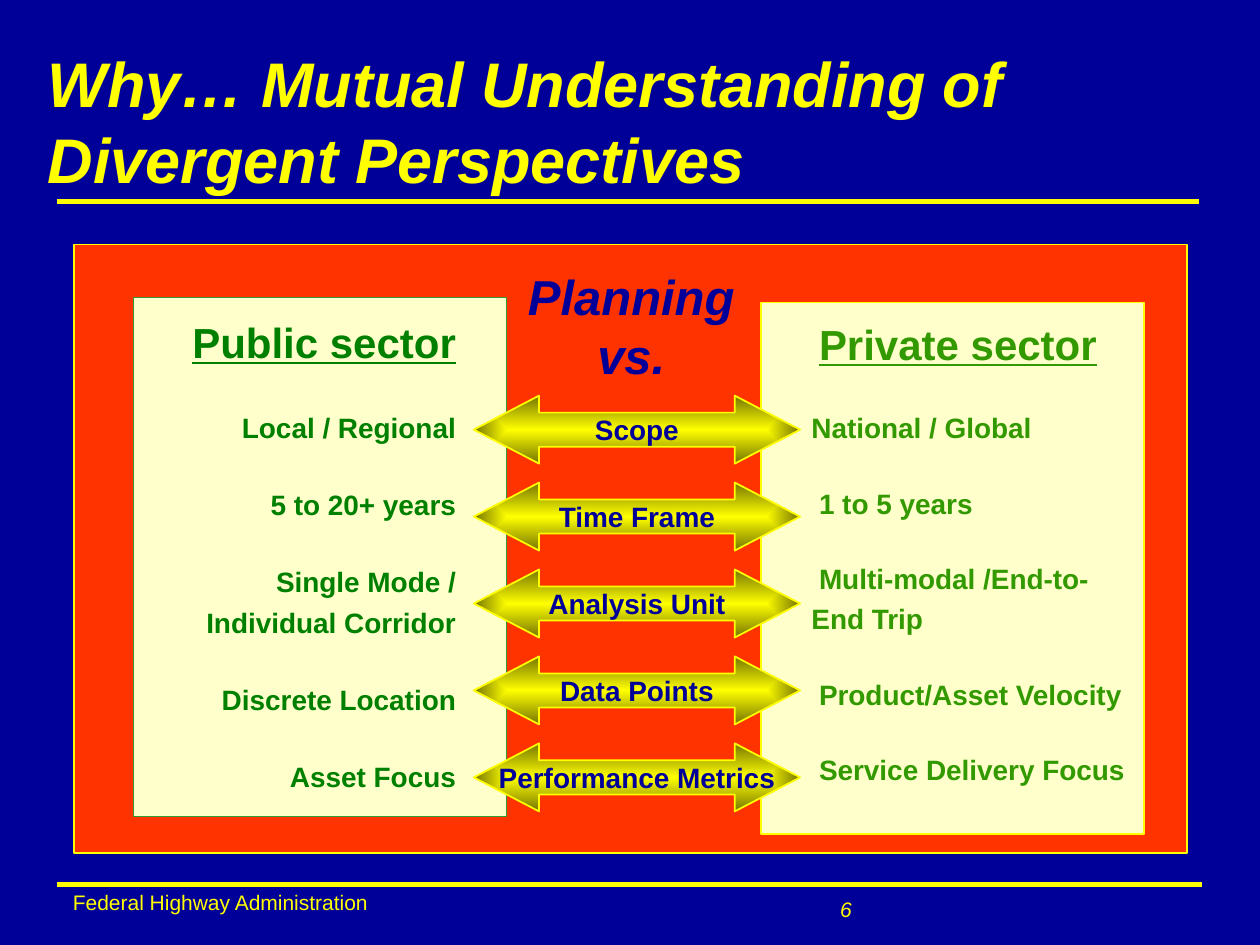
from lxml.etree import SubElement as Sub
from pptx import Presentation
from pptx.dml.color import RGBColor as RGB
from pptx.enum.shapes import MSO_CONNECTOR as Conn, MSO_SHAPE as Kind
from pptx.enum.text import MSO_ANCHOR as Anc, MSO_AUTO_SIZE as Auto, PP_ALIGN as Al
from pptx.oxml.ns import qn
from pptx.util import Inches, Pt

HUE = {
    "navy": "000099", "gold": "FFFF00", "olive": "757500", "red": "FF3300",
    "cream": "FFFFCC", "edge": "339933", "left": "008000", "right": "339900",
}
RGBS = {name: RGB.from_string(code) for name, code in HUE.items()}

deck = Presentation()
deck.slide_width, deck.slide_height = Inches(10), Inches(7.5)
# Grid of 100 columns by 75 rows
COL, ROW = deck.slide_width / 100, deck.slide_height / 75


def grid(x, y, w, h):
    return int(x * COL), int(y * ROW), int(w * COL), int(h * ROW)


def write(shape, lines, hue, font, para=None, frame=None):
    """Fill a shape with lines, formatted from dicts of values."""
    text = shape.text_frame
    base = {"auto_size": Auto.NONE, "word_wrap": True, "vertical_anchor": Anc.TOP}
    for key, val in {**base, **(frame or {})}.items():
        setattr(text, key, val)
    text.text = "\n".join(lines)
    for par in text.paragraphs:
        for key, val in {"alignment": Al.LEFT, **(para or {})}.items():
            setattr(par, key, val)
        for key, val in {"name": "Arial", **font}.items():
            setattr(par.font, key, val)
        par.font.color.rgb = RGBS[hue]


slide = deck.slides.add_slide(deck.slide_layouts[3])
shapes = slide.shapes
tree = shapes.element
slide.background.fill.solid()
slide.background.fill.fore_color.rgb = RGBS["navy"]
title, *cards = slide.placeholders

# Footer and rules
foot = shapes.add_textbox(*grid(4.8, 71, 39.2, 2))
write(foot, ["Federal Highway Administration"], "gold", {"size": Pt(12)},
      {"line_spacing": 0.5})
for y, end in ((16, 95.2), (70.2, 95.4)):
    x, y, w, _ = grid(4.5, y, end - 4.5, 0)
    rule = shapes.add_connector(Conn.STRAIGHT, x, y, x + w, y)
    rule.line.color.rgb = RGBS["gold"]
    rule.line.width = Pt(3)
    Sub(rule.element.spPr, qn("a:effectLst"))

# Red panel
panel = shapes.add_shape(Kind.RECTANGLE, *grid(5.9, 19.4, 88.3, 48.3))
panel.shadow.inherit = False
panel.fill.solid()
panel.fill.fore_color.rgb = RGBS["red"]
panel.line.color.rgb = RGBS["gold"]
panel.line.width = Pt(1)

# Sector cards: box, edge, text hue, spacing, align, insets, left margin, indents
public = ["Public sector", "Local / Regional", "5 to 20+ years",
          "Single Mode / Individual Corridor", "Discrete Location", "Asset Focus"]
private = ["Private sector", "National / Global", "1 to 5 years",
           "Multi-modal /End-to-End Trip", "Product/Asset Velocity",
           "Service Delivery Focus"]
sides = [
    (public, (10.6, 23.6, 29.6, 41.2), "edge", "left", 1.25, Al.RIGHT,
     (1, 4), 3.8, [-3.8] * 6),
    (private, (60.4, 24, 30.4, 42.2), "gold", "right", 1.2, Al.LEFT,
     (4, 1), 0, [0.6, 0, 0.6, 0.6, 0.6, 0.6]),
]
for card, side in zip(cards, sides):
    lines, box, edge, hue, gap, align, pads, margin, dents = side
    card.left, card.top, card.width, card.height = grid(*box)
    card.fill.solid()
    card.fill.fore_color.rgb = RGBS["cream"]
    card.line.color.rgb = RGBS[edge]
    card.line.width = Pt(0.75)
    write(card, lines, hue, {"size": Pt(16), "bold": True},
          {"alignment": align, "line_spacing": gap, "space_before": Pt(20)},
          {"margin_left": int(pads[0] * COL), "margin_right": int(pads[1] * COL)})
    for par, dent in zip(card.text_frame.paragraphs, dents):
        props = par._p.get_or_add_pPr()
        props.set("marL", str(int(margin * COL)))
        props.set("indent", str(int(dent * COL)))
        props.insert_element_before(
            props.makeelement(qn("a:buNone")), "a:tabLst", "a:defRPr", "a:extLst")
    head = card.text_frame.paragraphs[0]
    head.space_before = Pt(0)
    head.font.size = Pt(24)
    head.font.underline = True
    tree.append(card.element)

# Arrows between the cards
themes = ["Scope", "Time Frame", "Analysis Unit", "Data Points", "Performance Metrics"]
for row, theme in enumerate(themes):
    arrow = shapes.add_shape(Kind.LEFT_RIGHT_ARROW,
                             *grid(37.6, 31.4 + 6.9 * row, 25.9, 5.4))
    arrow.adjustments[0], arrow.adjustments[1] = 0.5, 0.96
    arrow.shadow.inherit = False
    arrow.line.color.rgb = RGBS["gold"]
    arrow.line.width = Pt(1)
    arrow.fill.gradient()
    for stop, hue, pos in zip(arrow.fill.gradient_stops, ("gold", "olive"), (0, 1)):
        stop.color.rgb = RGBS[hue]
        stop.position = pos
    # Gradient runs from the centre outwards
    grad = arrow.element.spPr.find(qn("a:gradFill"))
    grad.remove(grad.find(qn("a:lin")))
    rect = Sub(Sub(grad, qn("a:path"), {"path": "rect"}), qn("a:fillToRect"))
    for key in "ltrb":
        rect.set(key, "50000")
    write(arrow, [theme], "navy", {"size": Pt(16), "bold": True},
          {"alignment": Al.CENTER},
          {"word_wrap": False, "vertical_anchor": Anc.MIDDLE})

# Title
title.left, title.top, title.width, title.height = grid(2.8, 0.8, 94.3, 17.5)
write(title, ["Why… Mutual Understanding of Divergent Perspectives"], "gold",
      {"size": Pt(36), "bold": True, "italic": True},
      frame={"vertical_anchor": Anc.MIDDLE})
tree.append(title.element)

# Centre heading and page number
plan = shapes.add_textbox(*grid(40.9, 20.7, 18.4, 10.4))
write(plan, ["Planning", "vs."], "navy",
      {"size": Pt(28), "bold": True, "italic": True},
      {"alignment": Al.CENTER}, {"word_wrap": False})
page = shapes.add_textbox(*grid(65.7, 70.7, 32.3, 2.7))
write(page, ["6"], "gold", {"size": Pt(12), "italic": True})

deck.save("out.pptx")
